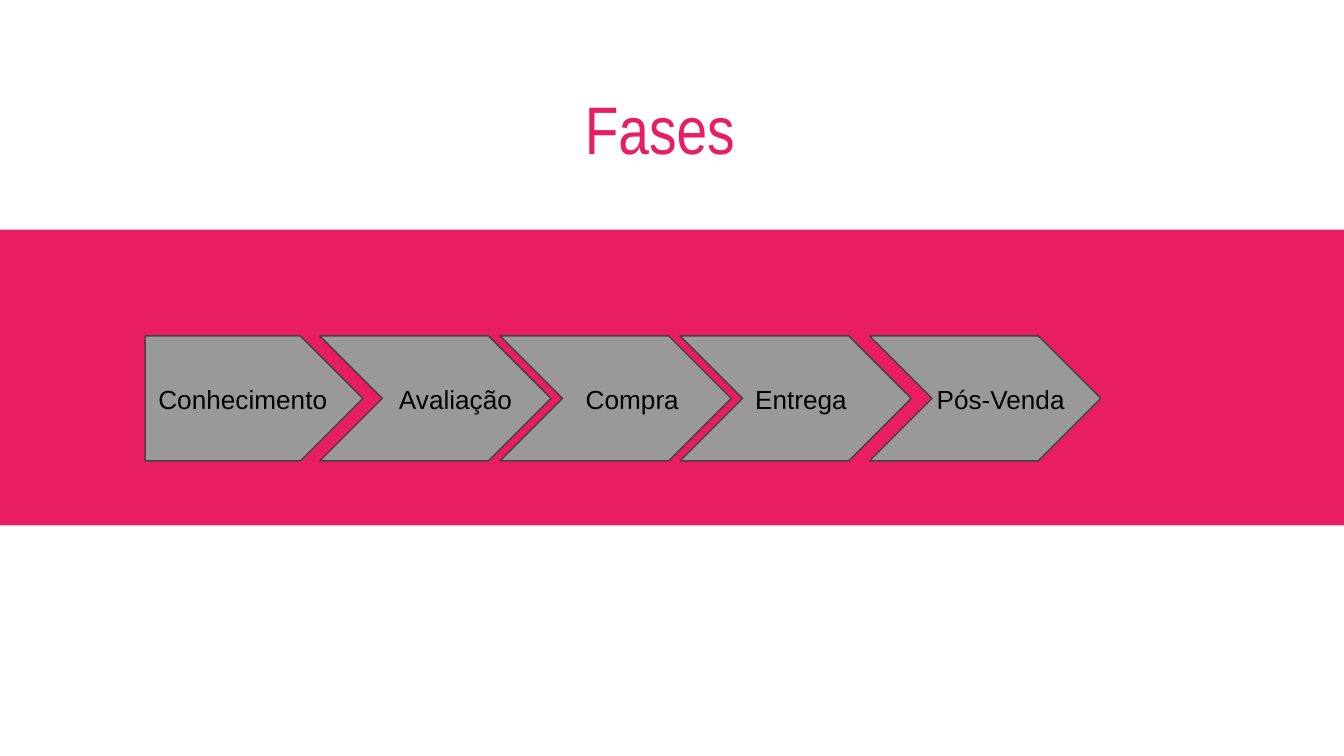
import pptx
import pptx.util
import pptx.dml.color
import pptx.enum.shapes
import pptx.enum.text

Inches = pptx.util.Inches
Pt = pptx.util.Pt
RGBColor = pptx.dml.color.RGBColor
Shape = pptx.enum.shapes.MSO_SHAPE
Anchor = pptx.enum.text.MSO_ANCHOR
Align = pptx.enum.text.PP_ALIGN

PINK = RGBColor(0xE9, 0x1D, 0x63)
GRAY = RGBColor(0x99, 0x99, 0x99)
OUTLINE = RGBColor(0x42, 0x42, 0x42)
BLACK = RGBColor(0, 0, 0)

deck = pptx.Presentation()
deck.slide_width = Inches(10)
deck.slide_height = Inches(10 * 9 / 16)
page = deck.slides.add_slide(deck.slide_layouts[6])


def add_shape(kind, left, top, width, height, color):
    shape = page.shapes.add_shape(kind, Inches(left), Inches(top), Inches(width), Inches(height))
    shape.shadow.inherit = False
    shape.fill.solid()
    shape.fill.fore_color.rgb = color
    return shape


def add_text(text, left, top, width, height, font, size, color, align, anchor):
    box = page.shapes.add_textbox(Inches(left), Inches(top), Inches(width), Inches(height))
    frame = box.text_frame
    frame.word_wrap = True
    frame.vertical_anchor = anchor
    frame.margin_left = frame.margin_right = Inches(0.1)
    frame.margin_top = frame.margin_bottom = Inches(0.1)
    para = frame.paragraphs[0]
    para.alignment = align
    span = para.add_run()
    span.text = text
    span.font.name = font
    span.font.size = Pt(size)
    span.font.color.rgb = color


band = add_shape(Shape.RECTANGLE, 0, 1.71, 10, 2.2, PINK)
band.line.fill.background()

add_text("Fases", 0.38, 0.12, 9.06, 1.66, "Arial Narrow", 36, PINK, Align.CENTER, Anchor.MIDDLE)

phases = [
    ("Conhecimento", Shape.PENTAGON, 1.08, 1.62, 1.08, 1.51),
    ("Avaliação", Shape.CHEVRON, 2.38, 1.72, 2.87, 1.1),
    ("Compra", Shape.CHEVRON, 3.72, 1.72, 4.26, 1.1),
    ("Entrega", Shape.CHEVRON, 5.06, 1.72, 5.52, 1.1),
    ("Pós-Venda", Shape.CHEVRON, 6.47, 1.72, 6.87, 1.21),
]

for name, kind, left, width, label_left, label_width in phases:
    arrow = add_shape(kind, left, 2.5, width, 0.93, GRAY)
    arrow.adjustments[0] = 0.5
    arrow.line.color.rgb = OUTLINE
    arrow.line.width = Pt(0.75)

for name, kind, left, width, label_left, label_width in phases:
    add_text(name, label_left, 2.75, label_width, 0.43, "Arial", 14, BLACK, Align.LEFT, Anchor.TOP)

deck.save("out.pptx")
